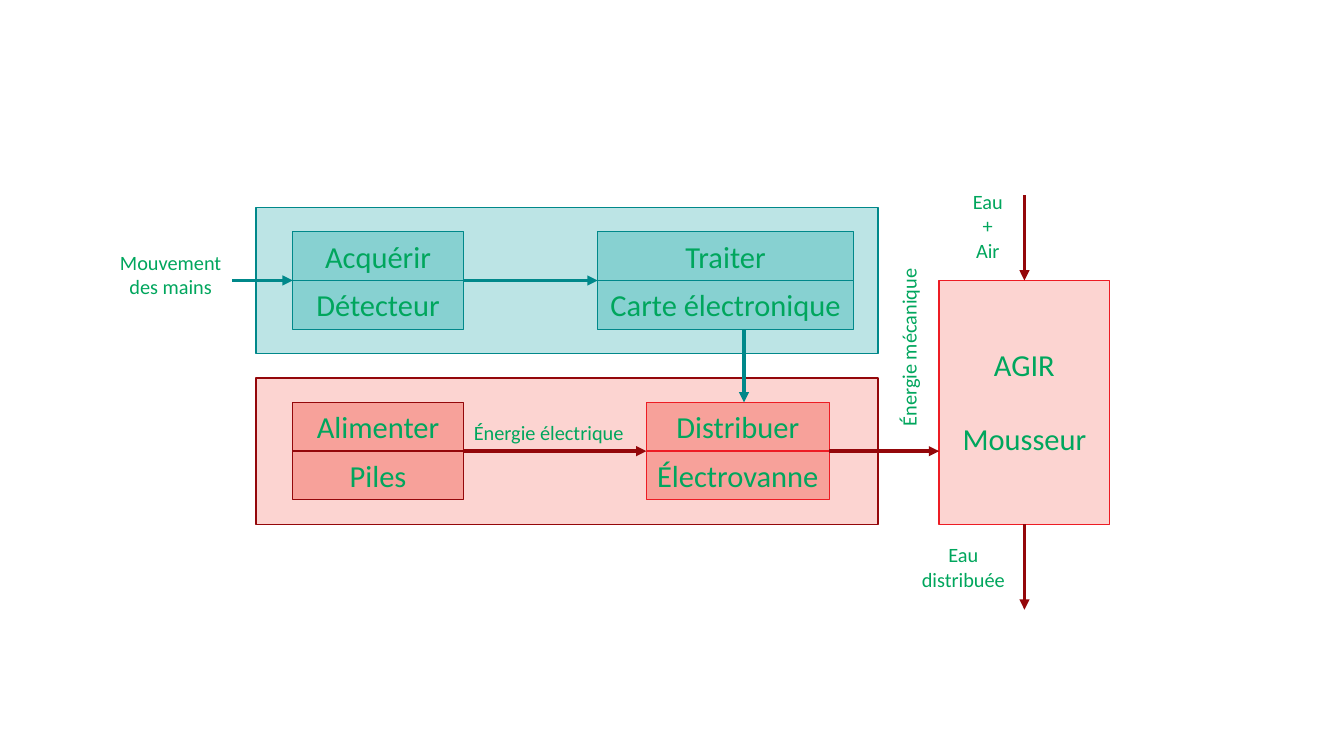
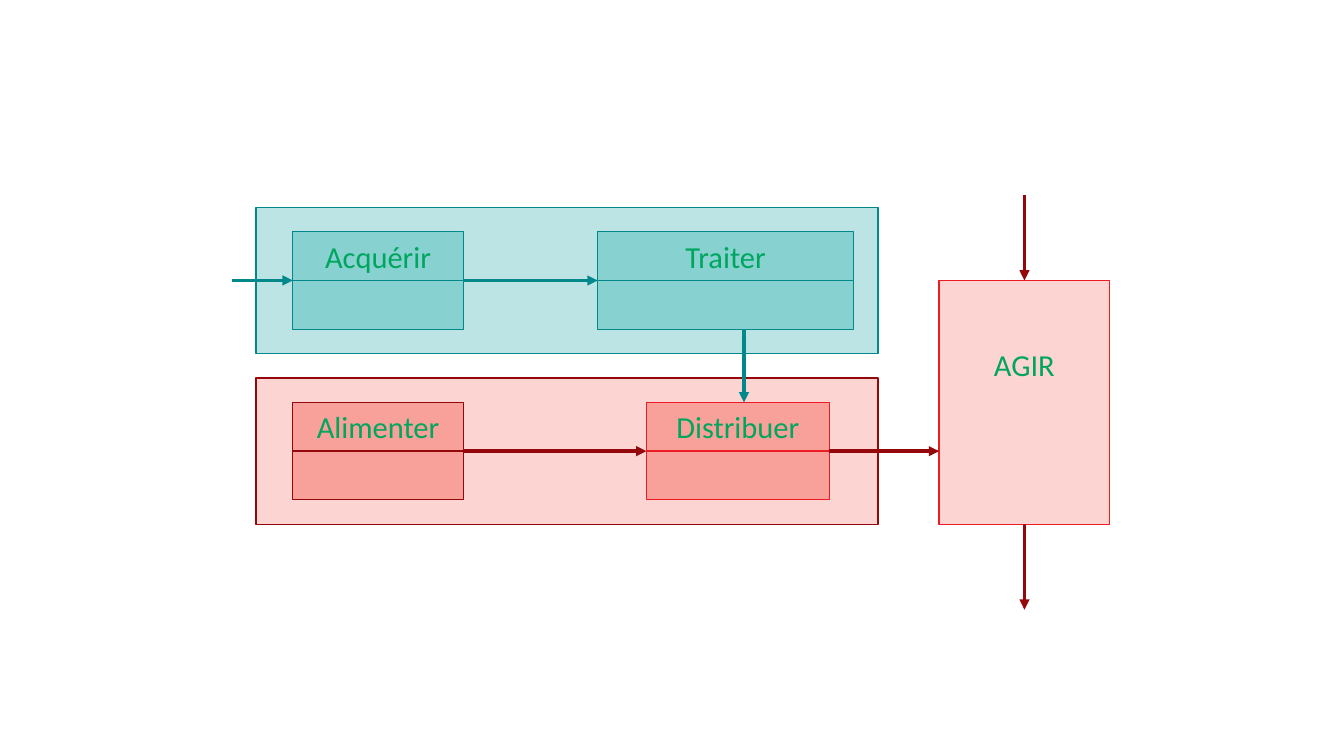
from lxml import etree
from pptx import Presentation
from pptx import util as u
from pptx.dml.color import RGBColor
from pptx.enum import shapes, text
from pptx.oxml.ns import qn

CELL = u.Inches(0.1)
FONT = "Calibri"
GREEN, WHITE = "00A65D", "FFFFFF"
TEAL, TEAL_MID, TEAL_PALE = "00888A", "87D1D1", "BCE4E5"
MAROON, RED, RED_MID, RED_PALE = "94070A", "ED1C24", "F7A19A", "FCD4D1"

# (function, component, column, row, width, fill, outline)
BLOCKS = [
    ("Acquérir", "Détecteur", 24, 19, 14, TEAL_MID, TEAL),
    ("Traiter", "Carte électronique", 49, 19, 21, TEAL_MID, TEAL),
    ("Alimenter", "Piles", 24, 33, 14, RED_MID, MAROON),
    ("Distribuer", "Électrovanne", 53, 33, 15, RED_MID, RED),
]
BLOCK_ROWS = 4


def color(value):
    return RGBColor.from_string(value)


def rectangle(parent, cells, fill, outline, lines=(), size=18):
    """Draw a rectangle at (column, row, columns, rows), one paragraph per line."""
    box = parent.shapes.add_shape(
        shapes.MSO_SHAPE.RECTANGLE, *(round(n * CELL) for n in cells))
    box.shadow.inherit = False
    box.fill.solid()
    box.fill.fore_color.rgb = color(fill)
    box.line.color.rgb = color(outline)
    box.line.width = 0
    frame = box.text_frame
    frame.word_wrap = False
    frame.vertical_anchor = text.MSO_ANCHOR.MIDDLE
    for index, line in enumerate(lines):
        para = frame.add_paragraph() if index else frame.paragraphs[0]
        para.alignment = text.PP_ALIGN.CENTER
        span = para.add_run()
        span.text = line
        span.font.name = FONT
        span.font.size = u.Pt(size)
        span.font.color.rgb = color(GREEN)
    return box


def block(page, solved, function, component, column, row, width, fill, outline):
    group = page.shapes.add_group_shape()
    rectangle(group, (column, row, width, BLOCK_ROWS), fill, outline, [function])
    rectangle(group, (column, row + BLOCK_ROWS, width, BLOCK_ROWS), fill, outline,
              [component] if solved else [])


def action_box(page, solved):
    box = rectangle(page, (77, 23, 14, 20), RED_PALE, RED,
                    ["AGIR", "Mousseur"] if solved else ["AGIR"])
    frame = box.text_frame
    frame.vertical_anchor = text.MSO_ANCHOR.TOP
    frame.margin_top = u.Inches(0.54)
    for para in frame.paragraphs[1:]:
        para.space_before = u.Pt(22)
    return box


def label(page, solved, cells, lines, fill=WHITE):
    return rectangle(page, cells, fill, fill, lines if solved else [], 12)


def arrow(page, start, end, stroke):
    line = page.shapes.add_connector(
        shapes.MSO_CONNECTOR.STRAIGHT, *(n * CELL for n in start + end))
    line.line.color.rgb = color(stroke)
    line.line.width = 0
    etree.SubElement(line.line._get_or_add_ln(), qn("a:tailEnd"), type="triangle")
    etree.SubElement(line._element.spPr, qn("a:effectLst"))
    return line


def diagram(page, solved):
    """Draw the chain; component names and flows show only when solved."""
    label(page, solved, (65, 27, 19, 3), ["Énergie mécanique"]).rotation = 270
    rectangle(page, (21, 17, 51, 12), TEAL_PALE, TEAL)
    rectangle(page, (21, 31, 51, 12), RED_PALE, MAROON)
    for values in BLOCKS:
        block(page, solved, *values)
    action = action_box(page, solved)

    arrow(page, (13, 23), (24, 23), TEAL)
    arrow(page, (38, 23), (49, 23), TEAL)
    arrow(page, (68, 37), (77, 37), MAROON)
    label(page, solved, (9, 20, 10, 5), ["Mouvement", "des mains"])
    arrow(page, (61, 27), (61, 33), TEAL)
    label(page, solved, (40, 33, 10, 5), ["Énergie électrique"], RED_PALE)
    arrow(page, (38, 37), (53, 37), MAROON)
    arrow(page, (84, 16), (84, 23), MAROON).end_connect(action, 0)
    label(page, solved, (79, 16, 4, 5), ["Eau", "+", "Air"])
    arrow(page, (84, 43), (84, 50), MAROON).begin_connect(action, 2)
    label(page, solved, (77, 44, 4, 5), ["Eau", "distribuée"])


def main():
    deck = Presentation()
    deck.slide_width, deck.slide_height = u.Inches(11.02), u.Inches(6.2)
    for solved in (True, False):
        diagram(deck.slides.add_slide(deck.slide_layouts[6]), solved)
    deck.save("out.pptx")


if __name__ == "__main__":
    main()
